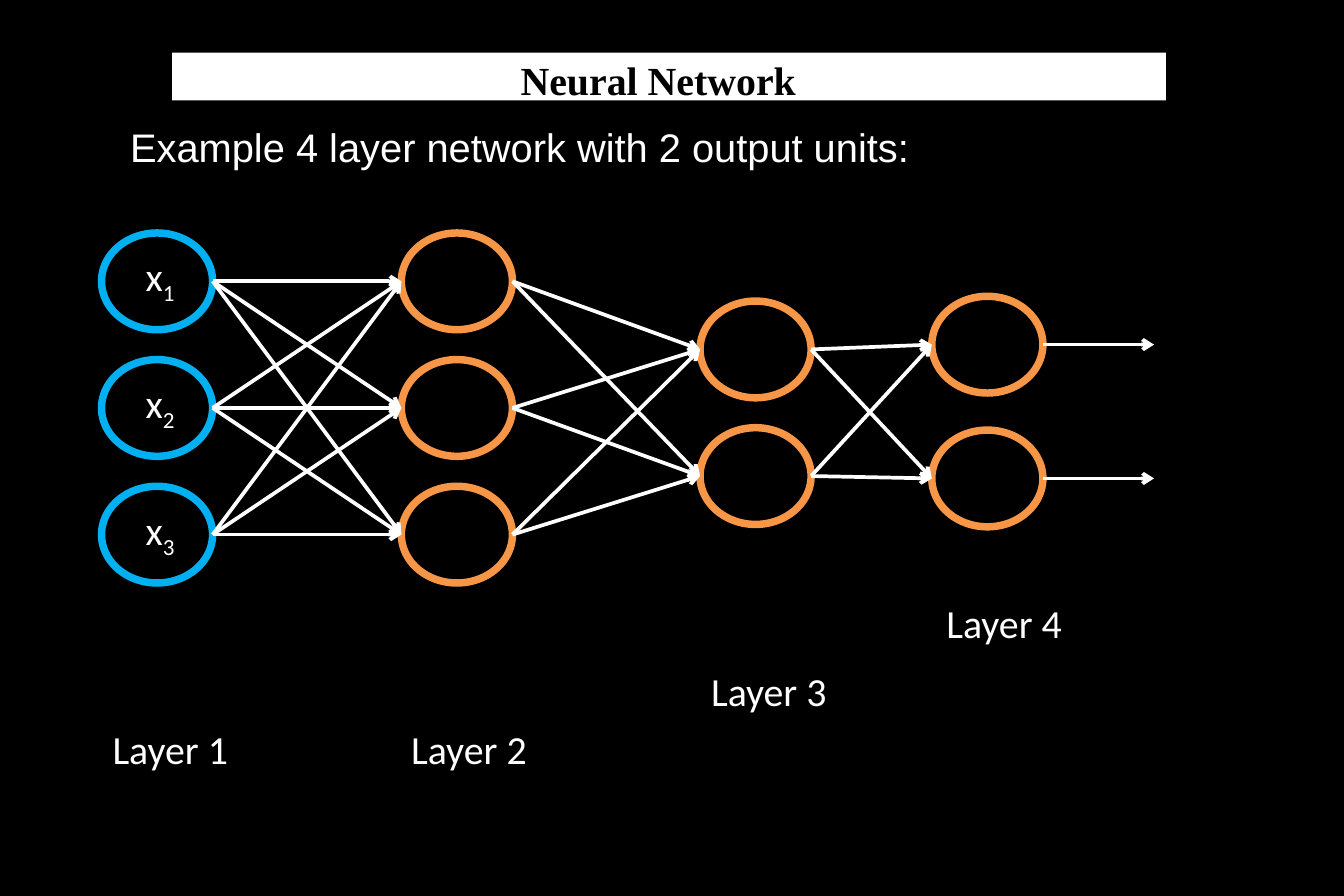
from dataclasses import dataclass
from itertools import product

from lxml.etree import SubElement
from pptx import Presentation
from pptx.dml.color import RGBColor
from pptx.enum.shapes import MSO_CONNECTOR, MSO_SHAPE
from pptx.enum.text import MSO_ANCHOR, MSO_AUTO_SIZE, PP_ALIGN
from pptx.oxml.ns import qn
from pptx.slide import Slide
from pptx.util import Inches, Pt

WHITE, BLACK, BLUE, ORANGE = "FFFFFF", "000000", "00B0F0", "F79646"
UNIT_W, UNIT_H = 0.93, 0.81
OUTPUT_END = 9.66


@dataclass
class Layer:
    name: str
    left: float
    top: float
    pitch: float
    count: int
    color: str
    label_left: float
    label_top: float

    def tops(self) -> list[float]:
        return [self.top + i * self.pitch for i in range(self.count)]

    def centers(self) -> list[float]:
        return [top + UNIT_H / 2 for top in self.tops()]


LAYERS = [
    Layer("Layer 1", 0.85, 1.95, 1.06, 3, BLUE, 0.83, 6.02),
    Layer("Layer 2", 3.36, 1.95, 1.06, 3, ORANGE, 3.33, 6.02),
    Layer("Layer 3", 5.86, 2.52, 1.06, 2, ORANGE, 5.84, 5.53),
    Layer("Layer 4", 7.8, 2.48, 1.12, 2, ORANGE, 7.81, 4.96),
]


def rgb(color: str) -> RGBColor:
    return RGBColor.from_string(color)


def add_unit(s: Slide, left: float, top: float, color: str) -> None:
    sp = s.shapes.add_shape(MSO_SHAPE.OVAL, Inches(left), Inches(top),
                            Inches(UNIT_W), Inches(UNIT_H))
    sp.shadow.inherit = False
    sp.fill.background()
    sp.line.color.rgb = rgb(color)
    sp.line.width = Pt(4.5)


def add_arrow(s: Slide, x1: float, y1: float, x2: float, y2: float) -> None:
    cx = s.shapes.add_connector(MSO_CONNECTOR.STRAIGHT, Inches(x1), Inches(y1),
                                Inches(x2), Inches(y2))
    cx.line.color.rgb = rgb(WHITE)
    cx.line.width = Pt(2.25)
    SubElement(cx.line._get_or_add_ln(), qn("a:tailEnd"), type="arrow")
    SubElement(cx._element.spPr, qn("a:effectLst"))


def add_text(s: Slide, left: float, top: float, width: float, text: str,
             subscript: str = "", font: str = "Calibri") -> None:
    tf = s.shapes.add_textbox(Inches(left), Inches(top), Inches(width),
                              Inches(0.5)).text_frame
    tf.word_wrap = False
    tf.auto_size = MSO_AUTO_SIZE.SHAPE_TO_FIT_TEXT
    p = tf.paragraphs[0]
    p.alignment = PP_ALIGN.CENTER
    for part in filter(None, (text, subscript)):
        r = p.add_run()
        r.text = part
        r.font.name, r.font.size = font, Pt(24)
        r.font.color.rgb = rgb(WHITE)
    if subscript:
        r.font._element.set("baseline", "-25000")


def add_title(s: Slide, text: str) -> None:
    title = s.shapes.title
    title.left, title.top = Inches(1.57), Inches(0.5)
    title.width, title.height = Inches(7.88), Inches(0.33)
    tf = title.text_frame
    tf.auto_size = MSO_AUTO_SIZE.NONE
    tf.vertical_anchor = MSO_ANCHOR.MIDDLE
    p = tf.paragraphs[0]
    p.alignment = PP_ALIGN.CENTER
    r = p.add_run()
    r.text = text
    r.font.name, r.font.size, r.font.bold = "Times New Roman", Pt(24), True
    r.font.color.rgb = rgb(BLACK)


def main() -> None:
    prs = Presentation()
    prs.slide_width, prs.slide_height = Inches(11.25), Inches(7.5)
    s = prs.slides.add_slide(prs.slide_layouts[5])
    s.background.fill.solid()
    s.background.fill.fore_color.rgb = rgb(BLACK)

    # Title on its white band
    band = s.shapes.add_shape(MSO_SHAPE.RECTANGLE, Inches(1.44), Inches(0.44),
                              Inches(8.32), Inches(0.4))
    band.shadow.inherit = False
    band.fill.solid()
    band.fill.fore_color.rgb = rgb(WHITE)
    band.line.fill.background()
    s.shapes._spTree.append(s.shapes.title._element)
    add_title(s, "Neural Network")
    add_text(s, 0.91, 0.98, 6.88, "Example 4 layer network with 2 output units:",
             font="Arial")

    # Units and layer names
    for layer in LAYERS:
        for top in layer.tops():
            add_unit(s, layer.left, top, layer.color)
        add_text(s, layer.label_left, layer.label_top, 1.19, layer.name)

    # Input names
    for i, top in enumerate(LAYERS[0].tops(), start=1):
        add_text(s, 1.11, top + 0.11, 0.46, "x", str(i))

    # Links between neighbouring layers, then the outputs
    for a, b in zip(LAYERS, LAYERS[1:]):
        for y1, y2 in product(a.centers(), b.centers()):
            add_arrow(s, a.left + UNIT_W, y1, b.left, y2)
    for y in LAYERS[-1].centers():
        add_arrow(s, LAYERS[-1].left + UNIT_W, y, OUTPUT_END, y)

    prs.save("out.pptx")


if __name__ == "__main__":
    main()
